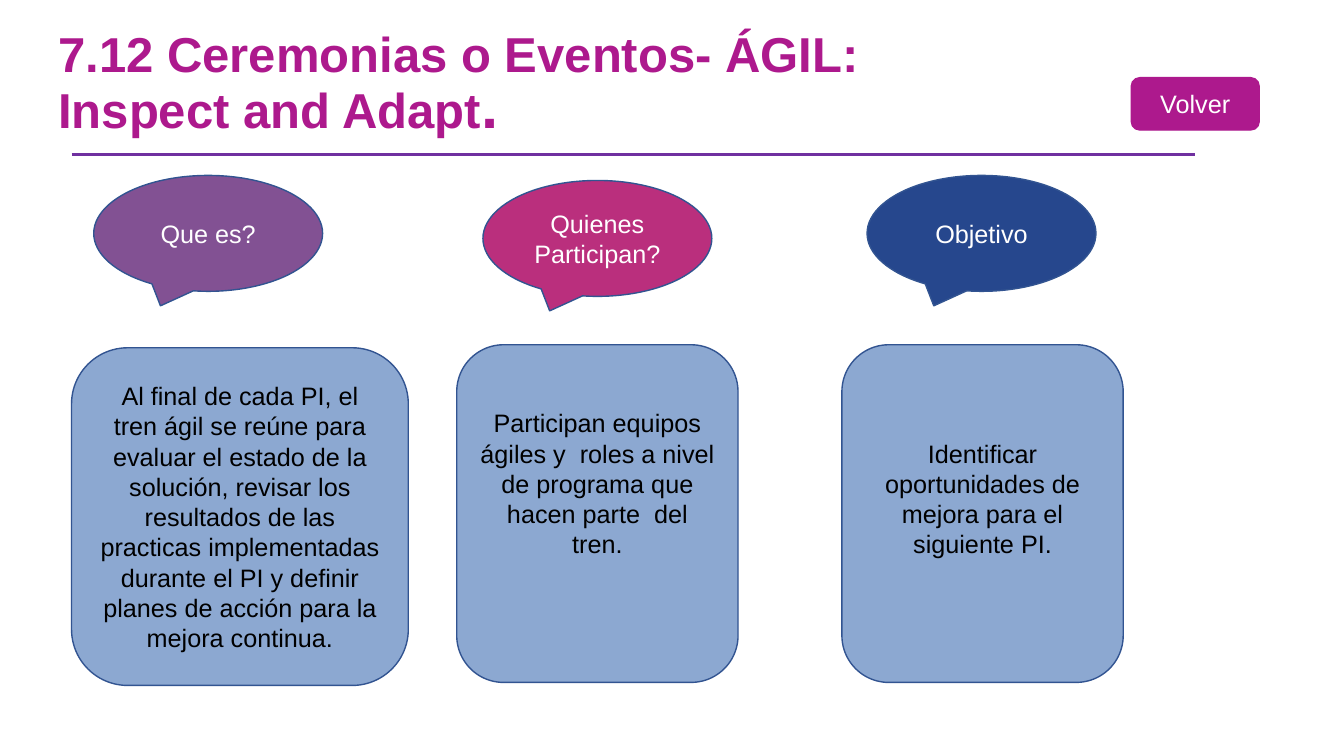
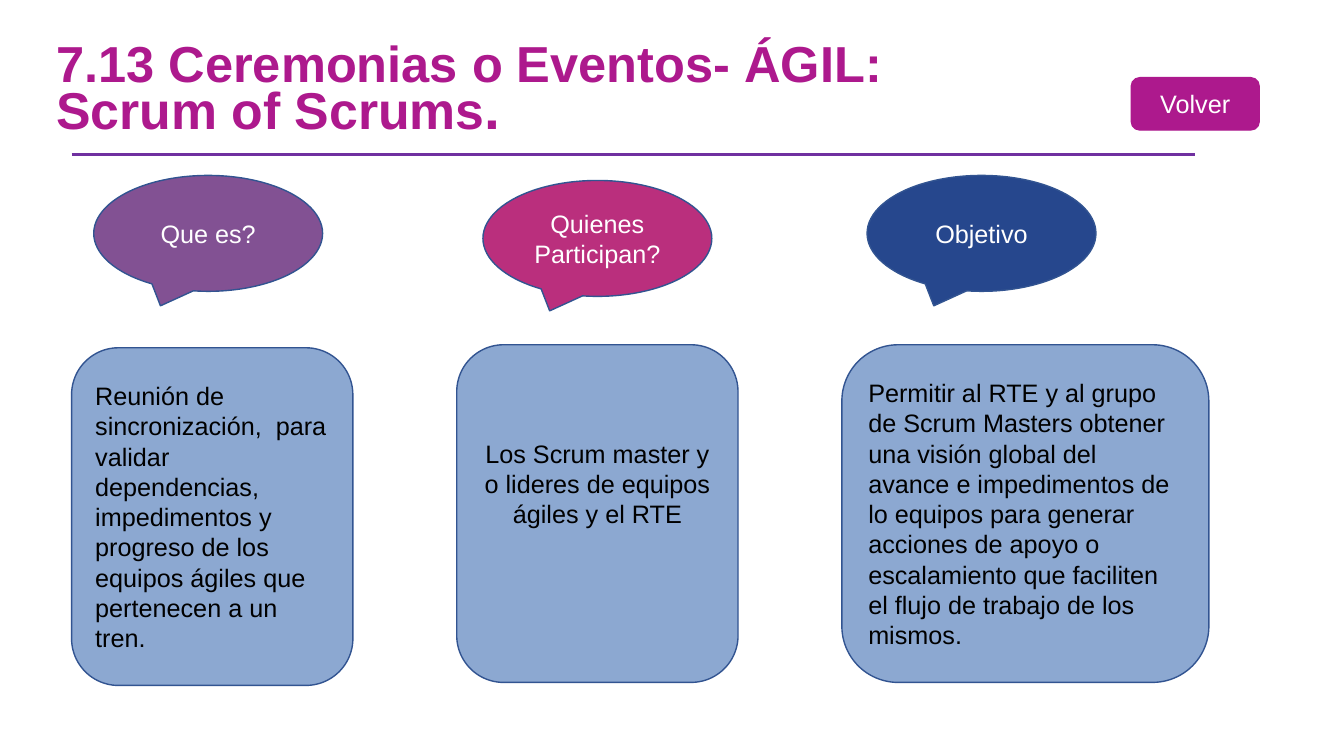
from lxml import etree
from pptx import Presentation
from pptx.dml.color import RGBColor
from pptx.enum.shapes import MSO_CONNECTOR, MSO_SHAPE as SHAPE
from pptx.enum.text import MSO_ANCHOR as ANCHOR, PP_ALIGN as ALIGN
from pptx.oxml.ns import qn
from pptx.util import Inches, Pt

FONT = "Arial"
MAGENTA = RGBColor(0xAD, 0x19, 0x8D)
RULE_PURPLE = RGBColor(0x70, 0x30, 0xA0)
VIOLET = RGBColor(0x82, 0x51, 0x93)
PINK = RGBColor(0xBA, 0x2F, 0x7D)
NAVY = RGBColor(0x26, 0x47, 0x8D)
CARD_BLUE = RGBColor(0x8C, 0xA8, 0xD1)
OUTLINE = RGBColor(0x32, 0x54, 0x91)
WHITE = RGBColor(0xFF, 0xFF, 0xFF)
BLACK = RGBColor(0x00, 0x00, 0x00)

# Question callouts: label, left, top, fill
QUESTIONS = [
    ("Que es?", 0.93, 1.74, VIOLET),
    ("Quienes Participan?", 4.79, 1.79, PINK),
    ("Objetivo", 8.6, 1.74, NAVY),
]
CARD_LEFT, CARD_PITCH = 0.71, 3.82
CARD_TOPS = (3.45, 3.42, 3.42)
CARD_WIDTH, CARD_HEIGHT = 2.79, 3.35
INSET = 0.05
LINE_HEIGHT = 0.3


class CeremonyDeck:
    """Holds the shared style and the slide being built."""

    def __init__(self):
        self.deck = Presentation()
        self.deck.slide_width = Inches(13.33)
        self.deck.slide_height = Inches(7.5)
        self.page = None

    def new_page(self):
        self.page = self.deck.slides.add_slide(self.deck.slide_layouts[6])

    def style(self, span, size, color, bold=False):
        span.font.name = FONT
        span.font.size = Pt(size)
        span.font.bold = bold
        span.font.color.rgb = color

    def title(self, area, spans, spacing):
        box = self.page.shapes.add_textbox(*map(Inches, area))
        frame = box.text_frame
        frame.word_wrap = True
        frame.vertical_anchor = ANCHOR.MIDDLE
        para = frame.paragraphs[0]
        para.line_spacing = spacing
        for text, size in spans:
            span = para.add_run()
            span.text = text
            self.style(span, size, MAGENTA, bold=True)

    def rule(self):
        line = self.page.shapes.add_connector(
            MSO_CONNECTOR.STRAIGHT, Inches(0.71), Inches(1.53), Inches(11.85), Inches(1.53))
        line.line.color.rgb = RULE_PURPLE
        line.line.width = Pt(2.25)
        etree.SubElement(line._element.spPr, qn("a:effectLst"))

    def shape(self, kind, area, text, fill, outline=OUTLINE, color=WHITE, align=ALIGN.CENTER):
        box = self.page.shapes.add_shape(kind, *map(Inches, area))
        box.shadow.inherit = False
        box.fill.solid()
        box.fill.fore_color.rgb = fill
        box.line.color.rgb = outline
        box.line.width = Pt(1)
        frame = box.text_frame
        frame.text = text
        frame.word_wrap = True
        frame.vertical_anchor = ANCHOR.MIDDLE
        para = frame.paragraphs[0]
        para.alignment = align
        self.style(para.runs[0], 18, color)
        return box

    def callout(self, label, left, top, fill):
        self.shape(SHAPE.OVAL_CALLOUT, (left, top, 2.27, 1.15), label, fill)

    def card(self, column, text, width=CARD_WIDTH, align=ALIGN.CENTER, lines_below=0):
        area = (CARD_LEFT + column * CARD_PITCH, CARD_TOPS[column], width, CARD_HEIGHT)
        box = self.shape(SHAPE.FLOWCHART_ALTERNATE_PROCESS, area, text, CARD_BLUE,
                         color=BLACK, align=align)
        box.text_frame.margin_bottom = Inches(INSET + lines_below * LINE_HEIGHT)

    def back_button(self):
        self.shape(SHAPE.ROUNDED_RECTANGLE, (11.22, 0.77, 1.27, 0.52), "Volver",
                   MAGENTA, outline=MAGENTA)

    def ceremony(self, title_area, title_spans, title_spacing, cards):
        self.new_page()
        self.title(title_area, title_spans, title_spacing)
        self.rule()
        for column, (question, card) in enumerate(zip(QUESTIONS, cards)):
            self.callout(*question)
            self.card(column, **card)
        self.back_button()


def main():
    show = CeremonyDeck()

    # Inspect and Adapt
    show.ceremony(
        (0.48, 0.23, 8.83, 1.28),
        [("7.12 Ceremonias o Eventos- ÁGIL: Inspect and Adapt", 35), (".", 44)],
        0.8,
        [
            {"text": "Al final de cada PI, el tren ágil se reúne para evaluar el estado de la "
                     "solución, revisar los resultados de las practicas implementadas durante "
                     "el PI y definir planes de acción para la mejora continua.",
             "width": 3.34},
            {"text": "Participan equipos ágiles y  roles a nivel de programa que hacen parte  "
                     "del tren.",
             "lines_below": 2},
            {"text": "Identificar oportunidades de mejora para el siguiente PI.",
             "lines_below": 1},
        ])

    # Scrum of Scrums
    show.ceremony(
        (0.46, 0.38, 9.51, 1.1),
        [("7.13 Ceremonias o Eventos- ÁGIL: ", 36.1), ("Scrum of Scrums", 37), (".", 40.7)],
        0.7,
        [
            {"text": "Reunión de sincronización,  para validar dependencias, impedimentos y "
                     "progreso de los equipos ágiles que pertenecen a un tren.",
             "align": ALIGN.LEFT},
            {"text": "Los Scrum master y o lideres de equipos ágiles y el RTE",
             "lines_below": 2},
            {"text": "Permitir al RTE y al grupo de Scrum Masters obtener una visión global del "
                     "avance e impedimentos de lo equipos para generar acciones de apoyo o "
                     "escalamiento que faciliten el flujo de trabajo de los mismos.",
             "width": 3.64, "align": ALIGN.LEFT},
        ])

    show.deck.save("out.pptx")


if __name__ == "__main__":
    main()
